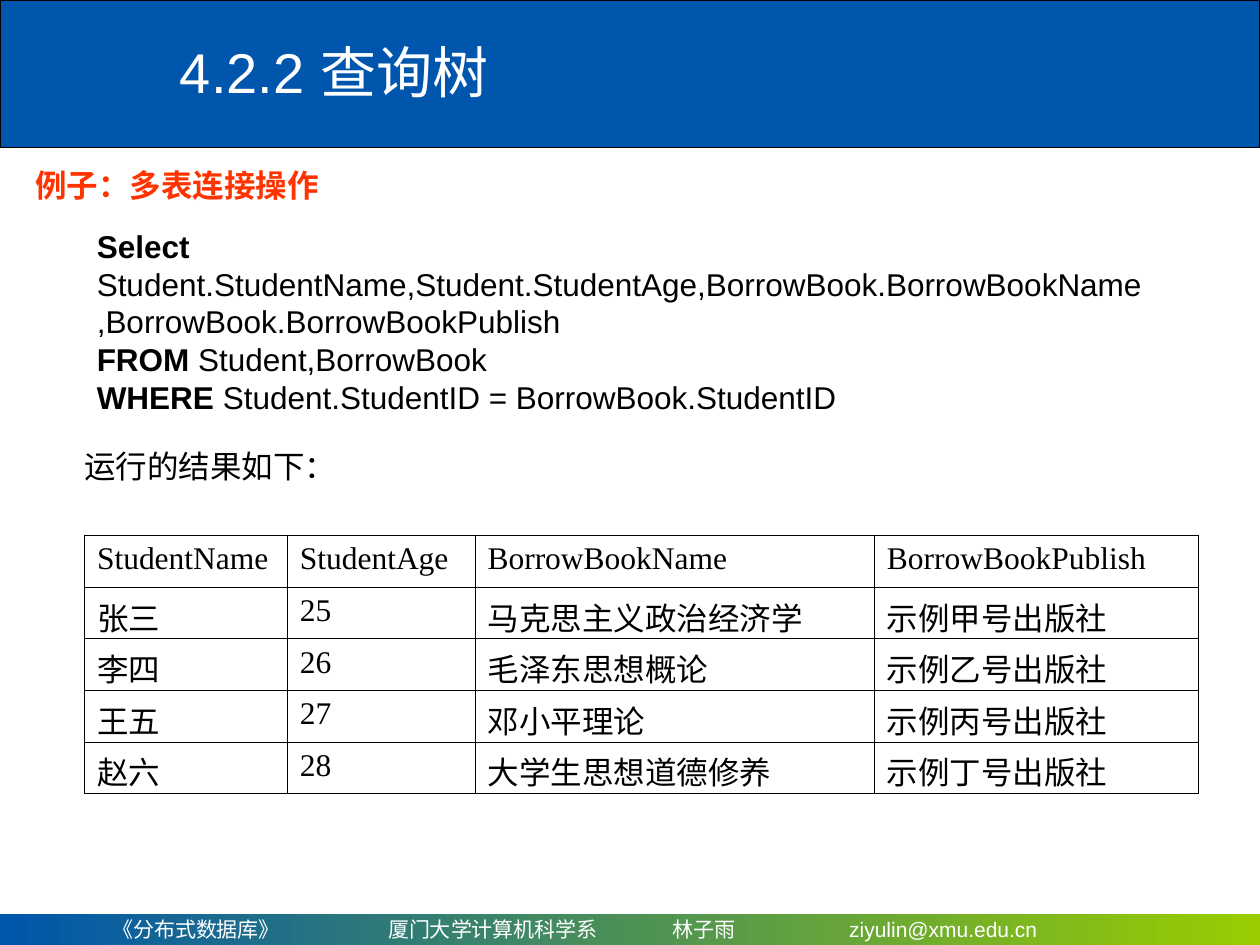
from lxml import etree
from pptx import Presentation
from pptx.dml.color import RGBColor
from pptx.enum.shapes import MSO_SHAPE
from pptx.enum.text import MSO_ANCHOR, MSO_AUTO_SIZE, PP_ALIGN
from pptx.oxml.ns import qn
from pptx.util import Inches, Pt

RECT = MSO_SHAPE.RECTANGLE
TOP, MIDDLE = MSO_ANCHOR.TOP, MSO_ANCHOR.MIDDLE
LEFT = PP_ALIGN.LEFT
GROW = MSO_AUTO_SIZE.SHAPE_TO_FIT_TEXT

BLUE, GREEN, RED = "0056AC", "99CC00", "FF3300"
WHITE, BLACK = "FFFFFF", "000000"
SANS, SERIF = "Arial", "Times New Roman"

FOOTER = ["《分布式数据库》", "厦门大学计算机科学系", "林子雨", "ziyulin@xmu.edu.cn"]
FOOTER_LEFT = 0.89
FOOTER_TABS = [2.19, 4.45, 5.85]

# Each line of the query is a keyword and what follows it.
QUERY = [
    ("Select ", "Student.StudentName,Student.StudentAge,"
                "BorrowBook.BorrowBookName,BorrowBook.BorrowBookPublish"),
    ("FROM", " Student,BorrowBook"),
    ("WHERE", " Student.StudentID = BorrowBook.StudentID"),
]

COLUMN_WIDTHS = [1.61, 1.49, 3.17, 2.57]
ROW_HEIGHT = 0.41
RESULT = [
    ["StudentName", "StudentAge", "BorrowBookName", "BorrowBookPublish"],
    ["张三", "25", "马克思主义政治经济学", "示例甲号出版社"],
    ["李四", "26", "毛泽东思想概论", "示例乙号出版社"],
    ["王五", "27", "邓小平理论", "示例丙号出版社"],
    ["赵六", "28", "大学生思想道德修养", "示例丁号出版社"],
]


def rgb(color):
    return RGBColor.from_string(color)


def add_run(p, text, size=18, name=SANS, color=BLACK, bold=False):
    r = p.add_run()
    r.text = text
    for key, value in {"size": Pt(size), "name": name, "bold": bold}.items():
        setattr(r.font, key, value)
    r.font.color.rgb = rgb(color)


def add_bar(slide, top, height):
    sp = slide.shapes.add_shape(RECT, 0, Inches(top), Inches(10), Inches(height))
    sp.shadow.inherit = False
    return sp


def add_header(slide):
    sp = add_bar(slide, 0, 1.17)
    sp.fill.solid()
    sp.fill.fore_color.rgb = rgb(BLUE)
    sp.line.color.rgb = rgb(BLACK)
    sp.line.width = Pt(0.75)


def add_footer(slide):
    sp = add_bar(slide, 7.25, 0.25)
    sp.line.fill.background()
    sp.fill.gradient()
    sp.fill.gradient_angle = 180
    for stop, color in zip(sp.fill.gradient_stops, (GREEN, BLUE)):
        stop.color.rgb = rgb(color)
    tf = sp.text_frame
    tf.margin_left = Inches(FOOTER_LEFT)
    tf.vertical_anchor = MIDDLE
    p = tf.paragraphs[0]
    p.alignment = LEFT
    tabs = etree.SubElement(p._p.get_or_add_pPr(), qn("a:tabLst"))
    for pos in FOOTER_TABS:
        etree.SubElement(tabs, qn("a:tab"), pos=str(Inches(pos)), algn="l")
    add_run(p, "\t".join(FOOTER), size=12, color=WHITE)


def add_text(slide, box, lines, anchor=TOP, wrap=True, **font):
    """Add a text box; each line is a list of (text, bold) runs."""
    tf = slide.shapes.add_textbox(*map(Inches, box)).text_frame
    for key, value in {"word_wrap": wrap, "auto_size": GROW,
                       "vertical_anchor": anchor}.items():
        setattr(tf, key, value)
    for i, runs in enumerate(lines):
        p = tf.add_paragraph() if i else tf.paragraphs[0]
        for text, bold in runs:
            add_run(p, text, bold=bold, **font)


def set_borders(cell):
    tc_pr = cell._tc.get_or_add_tcPr()
    for i, side in enumerate(("lnL", "lnR", "lnT", "lnB")):
        ln = etree.Element(qn("a:" + side), w=str(Pt(0.45)))
        fill = etree.SubElement(ln, qn("a:solidFill"))
        etree.SubElement(fill, qn("a:srgbClr"), val=BLACK)
        tc_pr.insert(i, ln)


def add_result_table(slide):
    rows, cols = len(RESULT), len(COLUMN_WIDTHS)
    table = slide.shapes.add_table(
        rows, cols, Inches(0.67), Inches(4.25),
        Inches(sum(COLUMN_WIDTHS)), Inches(rows * ROW_HEIGHT)).table
    table.first_row = table.horz_banding = False
    for column, width in zip(table.columns, COLUMN_WIDTHS):
        column.width = Inches(width)
    for row, values in zip(table.rows, RESULT):
        row.height = Inches(ROW_HEIGHT)
        for cell, value in zip(row.cells, values):
            cell.fill.background()
            set_borders(cell)
            add_run(cell.text_frame.paragraphs[0], value, name=SERIF)


def main():
    prs = Presentation()
    prs.slide_width, prs.slide_height = Inches(10), Inches(7.5)
    slide = prs.slides.add_slide(prs.slide_layouts[6])
    add_header(slide)
    add_footer(slide)
    add_text(slide, (1.33, 0.25, 8.42, 0.64), [[("4.2.2 查询树", False)]],
             size=32, color=WHITE)
    add_text(slide, (0.18, 1.27, 2.45, 0.4), [[("例子：多表连接操作", True)]],
             wrap=False, color=RED)
    add_text(slide, (0.67, 1.9, 8.5, 1.3),
             [[(keyword, True), (rest, False)] for keyword, rest in QUERY],
             anchor=MIDDLE)
    add_text(slide, (0.57, 3.5, 2.25, 0.4), [[("运行的结果如下：", False)]],
             anchor=MIDDLE, wrap=False)
    add_result_table(slide)
    prs.save("out.pptx")


if __name__ == "__main__":
    main()
